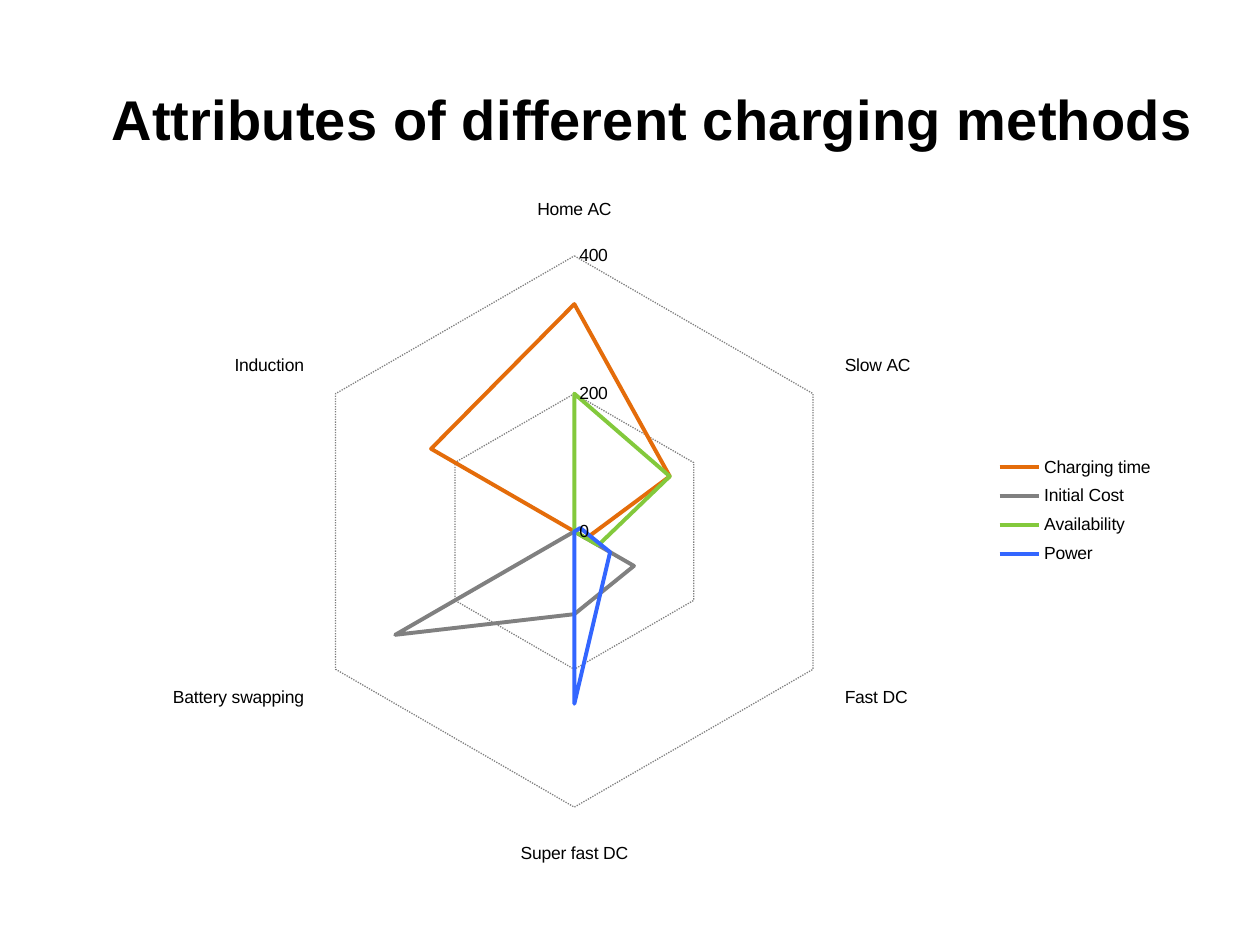
from lxml.etree import SubElement
from pptx import Presentation
from pptx.chart.data import CategoryChartData
from pptx.dml.color import RGBColor
from pptx.enum.chart import XL_CHART_TYPE, XL_LEGEND_POSITION, XL_TICK_MARK
from pptx.enum.dml import MSO_LINE
from pptx.oxml.ns import qn
from pptx.util import Inches, Pt

WIDE, HIGH = Inches(10), Inches(7.5)
FONT = "Arial"
METHODS = ["Home AC", "Slow AC", "Fast DC", "Super fast DC",
           "Battery swapping", "Induction"]
SERIES = [
    ("Charging time", "E46C0A", [330, 160, 20, 0, 0, 240]),
    ("Initial Cost", "808080", [0, 0, 100, 120, 300, 0]),
    ("Availability", "83C93C", [200, 160, 40, 0, 0, 0]),
    ("Power", "3366FF", [0, 10, 60, 250, 0, 0]),
]


def paint(color, code):
    color.rgb = RGBColor.from_string(code)


def style(font, size=10, bold=False, code="000000"):
    font.name, font.size, font.bold = FONT, Pt(size), bold
    paint(font.color, code)


def write(frame, text, **form):
    """Put one run of formatted text into a text frame."""
    run = frame.paragraphs[0].add_run()
    run.text = text
    style(run.font, **form)


def draw(line, code, width, dash=None):
    paint(line.color, code)
    line.width = Pt(width)
    if dash:
        line.dash_style = dash


def place(part, index, inner=False, **shares):
    """Fix a chart part at shares of the chart's size."""
    for old in part.findall(qn("c:layout")):
        part.remove(old)
    layout = SubElement(part, qn("c:layout"))
    part.insert(index, layout)
    manual = SubElement(layout, qn("c:manualLayout"))
    if inner:
        SubElement(manual, qn("c:layoutTarget")).set("val", "inner")
    for name in ("x", "y"):
        SubElement(manual, qn(f"c:{name}Mode")).set("val", "edge")
    for name, share in shares.items():
        SubElement(manual, qn(f"c:{name}")).set("val", str(share))


def add_radar(slide):
    data = CategoryChartData()
    data.categories = METHODS
    for name, _, values in SERIES:
        data.add_series(name, values)
    frame = slide.shapes.add_chart(
        XL_CHART_TYPE.RADAR, Inches(-0.52), Inches(0.44),
        Inches(11.04), Inches(6.63), data)
    return frame.chart


def style_lines(chart):
    for series, (_, code, _) in zip(chart.plots[0].series, SERIES):
        series.smooth = False
        draw(series.format.line, code, 2.25)


def style_axes(chart):
    scale = chart.value_axis
    scale.minimum_scale, scale.maximum_scale = 0, 400
    scale.major_unit = 200
    for axis in (chart.category_axis, scale):
        axis.major_tick_mark = axis.minor_tick_mark = XL_TICK_MARK.NONE
        axis.has_major_gridlines = True
        draw(axis.major_gridlines.format.line, "808080", 0.75,
             MSO_LINE.ROUND_DOT)
        style(axis.tick_labels.font)
    scale.format.line.fill.background()


def add_title(chart, text):
    chart.has_title = True
    title = chart.chart_title
    write(title.text_frame, text, size=32, bold=True)
    title.include_in_layout = False
    place(title._element, 1, x=0.12, y=0.02)


def add_legend(chart):
    chart.has_legend = True
    legend = chart.legend
    legend.position = XL_LEGEND_POSITION.RIGHT
    legend.include_in_layout = False
    style(legend.font)
    place(legend._element, 1, x=0.76, y=0.47, w=0.12, h=0.15)


def main():
    deck = Presentation()
    deck.slide_width, deck.slide_height = WIDE, HIGH
    slide = deck.slides.add_slide(deck.slide_layouts[6])
    chart = add_radar(slide)
    style(chart.font)
    style_lines(chart)
    style_axes(chart)
    add_title(chart, "Attributes of different charging methods")
    add_legend(chart)
    place(chart._chartSpace.chart.plotArea, 0, inner=True,
          x=0.26, y=0.24, w=0.4, h=0.66)
    deck.save("out.pptx")


if __name__ == "__main__":
    main()
